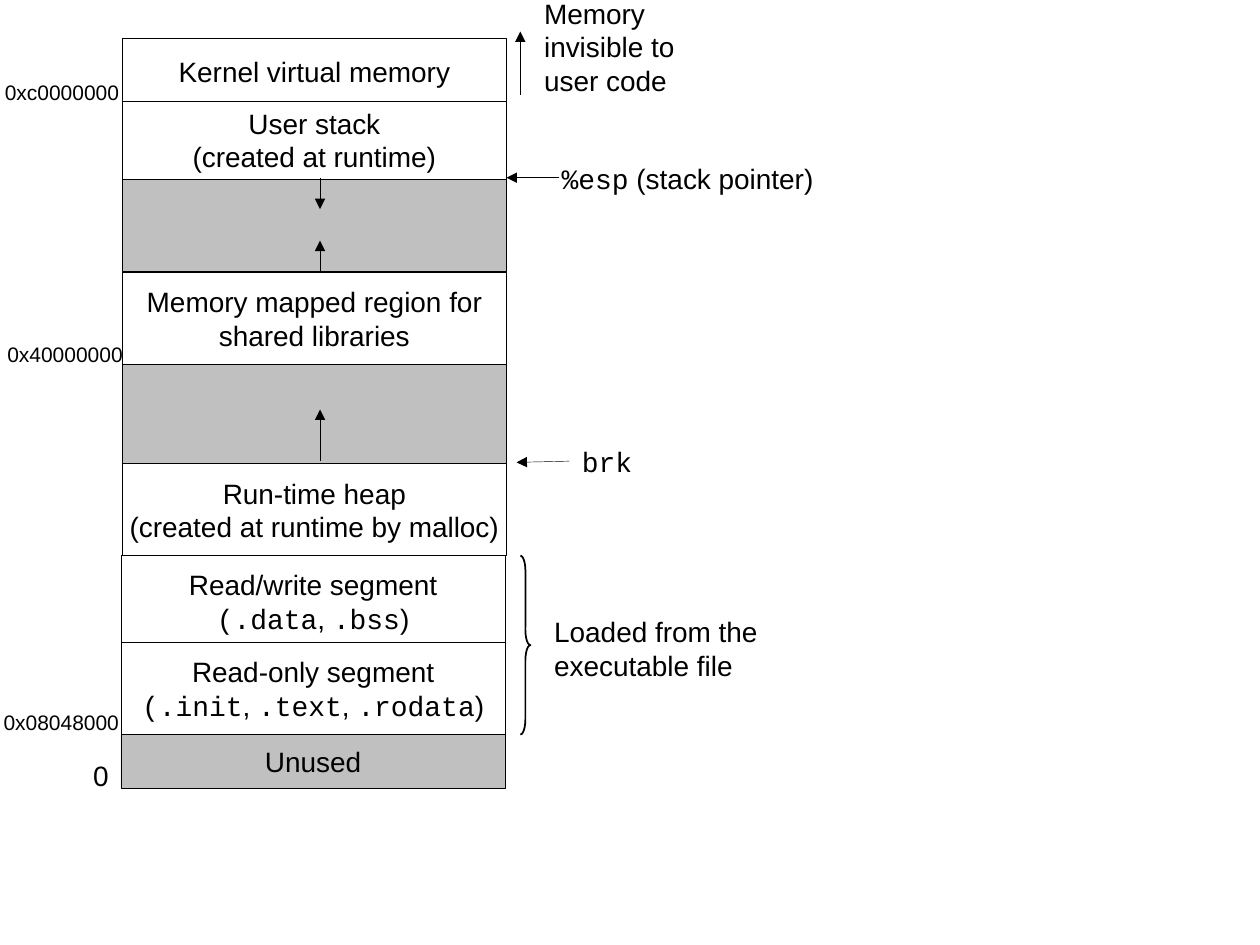
from typing import NamedTuple

from lxml.etree import SubElement
from pptx import Presentation
from pptx.dml.color import RGBColor
from pptx.enum.shapes import MSO_CONNECTOR, MSO_SHAPE
from pptx.enum.text import MSO_ANCHOR, MSO_AUTO_SIZE, PP_ALIGN
from pptx.oxml.ns import qn
from pptx.util import Inches, Pt

COLORS = {"ink": "000000", "used": "FFFFFF", "free": "C0C0C0"}
SANS, MONO = "Arial", "Courier New"
HIGH, LOW, WIDE = 0.97, 0.96, 3.05  # left edges of the two stacks, band width
MID = 2.54  # centre line of the growth arrows


class Band(NamedTuple):
    left: float
    top: float
    height: float
    fill: str
    text: str = ""


class Label(NamedTuple):
    left: float
    top: float
    width: float
    height: float
    text: str
    size: int = 16


class Arrow(NamedTuple):
    x1: float
    y1: float
    x2: float
    y2: float


# Text between backticks is set in the code font.
BANDS = [
    Band(HIGH, 0.3, 0.53, "used", "Kernel virtual memory"),
    Band(HIGH, 1.16, 0.99, "free"),
    Band(HIGH, 0.8, 0.62, "used", "User stack\n(created at runtime)"),
    Band(HIGH, 2.16, 0.73, "used", "Memory mapped region for\nshared libraries"),
    Band(HIGH, 2.89, 0.79, "free"),
    Band(HIGH, 3.68, 0.73, "used",
         "Run-time heap\n(created at runtime by malloc)"),
    Band(LOW, 4.41, 0.73, "used", "Read/write segment\n`(.data`, `.bss`)"),
    Band(LOW, 5.1, 0.73, "used",
         "Read-only segment\n`(.init`, `.text`, `.rodata`)"),
    Band(LOW, 5.83, 0.43, "free", "Unused"),
]
LABELS = [
    Label(-0.06, 0.58, 1.13, 0.3, "0xc0000000", 12),
    Label(-0.04, 2.66, 1.13, 0.3, "0x40000000", 12),
    Label(-0.07, 5.58, 1.13, 0.3, "0x08048000", 12),
    Label(0.64, 5.97, 0.34, 0.37, "0"),
    Label(4.22, -0.08, 1.26, 0.9, "Memory\ninvisible to\nuser code"),
    Label(4.36, 1.23, 2.22, 0.37, "`%esp` (stack pointer)"),
    Label(4.52, 3.48, 0.62, 0.37, "`brk`"),
    Label(4.3, 4.83, 1.87, 0.64, "Loaded from the\nexecutable file"),
]
ARROWS = [
    Arrow(MID, 1.41, MID, 1.66),
    Arrow(MID, 2.16, MID, 1.91),
    Arrow(MID, 3.66, MID, 3.25),
    Arrow(4.13, 0.75, 4.13, 0.25),
    Arrow(4.44, 1.41, 4.02, 1.41),
    Arrow(4.52, 3.66, 4.1, 3.67),
]


def rgb(name: str) -> RGBColor:
    return RGBColor.from_string(COLORS[name])


def write(frame, text: str, size: int, align: PP_ALIGN) -> None:
    frame.word_wrap = False
    for i, line in enumerate(text.split("\n")):
        para = frame.add_paragraph() if i else frame.paragraphs[0]
        para.alignment = align
        for j, part in enumerate(line.split("`")):
            if part:
                run = para.add_run()
                run.text = part
                run.font.name = MONO if j % 2 else SANS
                run.font.size = Pt(size)
                run.font.color.rgb = rgb("ink")


def add_band(shapes, band: Band) -> None:
    box = shapes.add_shape(MSO_SHAPE.RECTANGLE, Inches(band.left),
                           Inches(band.top), Inches(WIDE), Inches(band.height))
    box.shadow.inherit = False
    box.fill.solid()
    box.fill.fore_color.rgb = rgb(band.fill)
    box.line.color.rgb = rgb("ink")
    box.line.width = Pt(0.25)
    if band.text:
        box.text_frame.vertical_anchor = MSO_ANCHOR.MIDDLE
        write(box.text_frame, band.text, 16, PP_ALIGN.CENTER)


def add_label(shapes, label: Label) -> None:
    box = shapes.add_textbox(Inches(label.left), Inches(label.top),
                             Inches(label.width), Inches(label.height))
    write(box.text_frame, label.text, label.size, PP_ALIGN.LEFT)
    box.text_frame.auto_size = MSO_AUTO_SIZE.SHAPE_TO_FIT_TEXT


def add_arrow(shapes, arrow: Arrow) -> None:
    line = shapes.add_connector(MSO_CONNECTOR.STRAIGHT,
                                *(Inches(value) for value in arrow))
    line.line.color.rgb = rgb("ink")
    line.line.width = Pt(0.25)
    props = line.element.spPr
    SubElement(props.find(qn("a:ln")), qn("a:tailEnd"), type="triangle")
    SubElement(props, qn("a:effectLst"))


def add_brace(shapes) -> None:
    """Bracket the two segments loaded from the file."""
    brace = shapes.add_shape(MSO_SHAPE.RIGHT_BRACE, Inches(4.13), Inches(4.41),
                             Inches(0.08), Inches(1.42))
    brace.adjustments[0] = 1.5
    brace.shadow.inherit = False
    brace.fill.background()
    brace.line.color.rgb = rgb("ink")
    brace.line.width = Pt(1)


def main() -> None:
    deck = Presentation()
    deck.slide_width, deck.slide_height = Inches(10), Inches(7.5)
    shapes = deck.slides.add_slide(deck.slide_layouts[6]).shapes
    for band in BANDS:
        add_band(shapes, band)
    for arrow in ARROWS:
        add_arrow(shapes, arrow)
    for label in LABELS:
        add_label(shapes, label)
    add_brace(shapes)
    deck.save("out.pptx")


if __name__ == "__main__":
    main()
